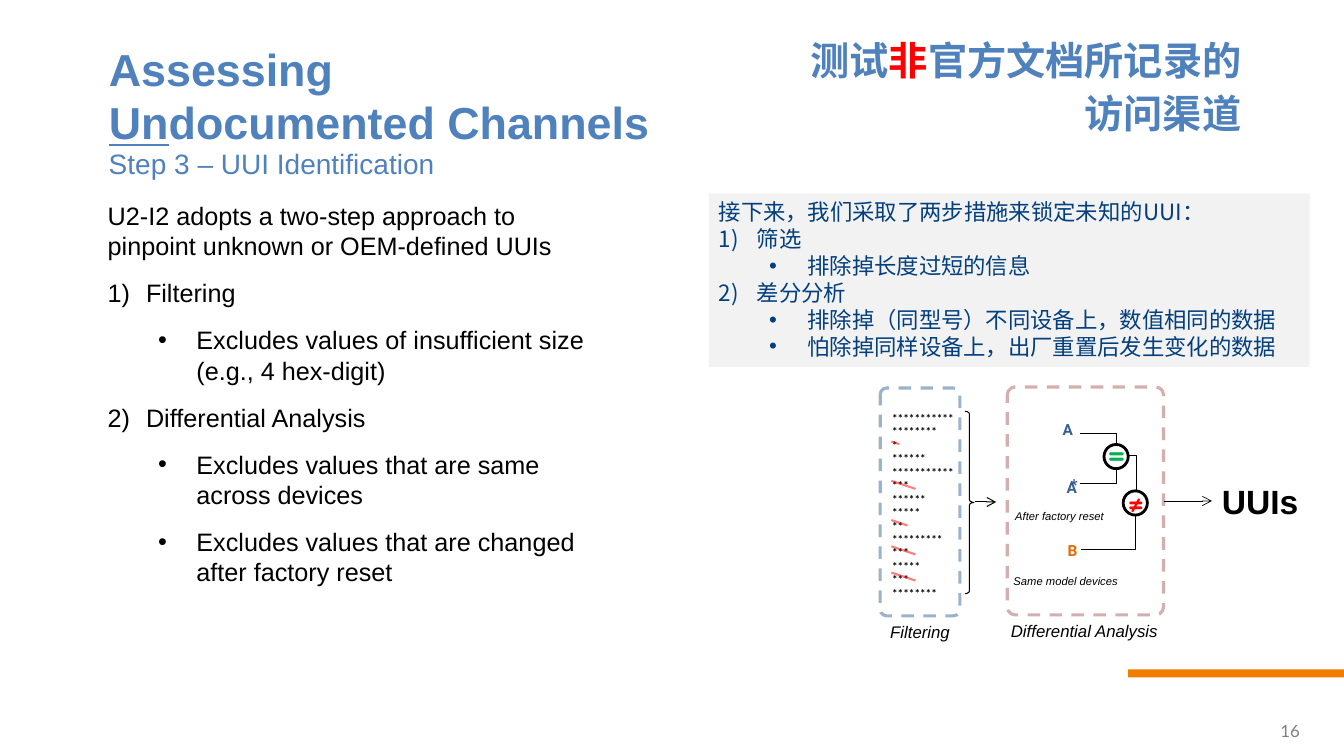
from dataclasses import dataclass

from lxml import etree
from pptx import Presentation
from pptx.dml.color import RGBColor
from pptx.enum.dml import MSO_LINE
from pptx.enum.shapes import MSO_CONNECTOR, MSO_SHAPE
from pptx.enum.text import MSO_ANCHOR, PP_ALIGN
from pptx.oxml.ns import qn
from pptx.util import Inches, Pt

LEFT, MID, RIGHT = PP_ALIGN.LEFT, PP_ALIGN.CENTER, PP_ALIGN.RIGHT
TOP, BOTTOM = MSO_ANCHOR.TOP, MSO_ANCHOR.BOTTOM
LINE, ELBOW = MSO_CONNECTOR.STRAIGHT, MSO_CONNECTOR.ELBOW
RECT, ROUND = MSO_SHAPE.RECTANGLE, MSO_SHAPE.ROUNDED_RECTANGLE
OVAL, BRACE = MSO_SHAPE.OVAL, MSO_SHAPE.RIGHT_BRACE
DASH = MSO_LINE.DASH


@dataclass(frozen=True)
class Theme:
    black: str = "000000"
    white: str = "FFFFFF"
    blue: str = "4F81BD"
    navy: str = "033F7D"
    steel: str = "376092"
    red: str = "FF0000"
    green: str = "00B050"
    wine: str = "953735"
    rust: str = "E46C0A"
    orange: str = "F17D00"
    pale: str = "F2F2F2"
    gray: str = "7F7F7F"
    sans: str = "Arial"
    han: str = "Noto Sans CJK SC"
    sign: str = "Quicksand"
    mark: str = "Roboto"
    head: int = 32
    title: int = 28
    big: int = 24
    sub: int = 20
    body: int = 18
    note: int = 16
    label: int = 12
    letter: int = 11
    tiny: int = 8
    lead: float = 1.2


T = Theme()


# Basic parts
def style(font, size, color, face=T.sans, bold=False, slant=False):
    font.size, font.bold, font.italic = Pt(size), bold, slant
    font.color.rgb = RGBColor.from_string(color)
    font.name = face
    if face == T.han:
        etree.SubElement(font._element, qn("a:ea"), typeface=face)


def bullet(para, kind):
    """kind: 'n' for a number, 'b' for a dot, '' for none."""
    if not kind:
        return
    para.level = 1 if kind == "b" else 0
    props = para._p.get_or_add_pPr()
    props.set("marL", str(Inches(0.88 if kind == "b" else 0.38)))
    props.set("indent", str(Inches(-0.38)))
    if kind == "n":
        etree.SubElement(props, qn("a:buAutoNum"), type="arabicParenR")
    else:
        etree.SubElement(props, qn("a:buFont"), typeface=T.sans)
        etree.SubElement(props, qn("a:buChar"), char="•")


def fill_text(frame, items, size, color, align=LEFT, after=0, lead=0, **look):
    """items: (kind, text or list of runs) for each paragraph."""
    for i, (kind, text) in enumerate(items):
        para = frame.paragraphs[0] if i == 0 else frame.add_paragraph()
        para.alignment = align
        para.line_spacing = Pt(lead or size * T.lead)
        para.space_before, para.space_after = Pt(0), Pt(after)
        bullet(para, kind)
        for part in [text] if isinstance(text, str) else text:
            para.add_run().text = part
        style(para.font, size, color, **look)


def text(slide, box, words, size, color, wrap=True, **look):
    shape = slide.shapes.add_textbox(*map(Inches, box))
    shape.text_frame.word_wrap = wrap
    items = [("", words)] if isinstance(words, str) else words
    fill_text(shape.text_frame, items, size, color, **look)
    return shape


def fade(line, alpha):
    color = line._ln.find(".//" + qn("a:srgbClr"))
    etree.SubElement(color, qn("a:alpha"), val=str(alpha * 1000))


def shape(slide, kind, box, fill=None, line=None, width=1):
    item = slide.shapes.add_shape(kind, *map(Inches, box))
    item.shadow.inherit = False
    if fill:
        item.fill.solid()
        item.fill.fore_color.rgb = RGBColor.from_string(fill)
    else:
        item.fill.background()
    if line:
        item.line.color.rgb = RGBColor.from_string(line)
        item.line.width = Pt(width)
    else:
        item.line.fill.background()
    return item


def link(slide, start, end, color=T.black, width=0.75, kind=LINE, arrow=False):
    item = slide.shapes.add_connector(kind, *map(Inches, (*start, *end)))
    item.line.color.rgb = RGBColor.from_string(color)
    item.line.width = Pt(width)
    if arrow:
        etree.SubElement(item.line._ln, qn("a:tailEnd"), type="arrow")
    etree.SubElement(item._element.spPr, qn("a:effectLst"))
    if kind == ELBOW:  # run level first, then turn at the far end
        guides = item._element.spPr.find(".//" + qn("a:avLst"))
        etree.SubElement(guides, qn("a:gd"), name="adj1", fmla="val 100000")
    return item


def frame(slide, box, color, bend):
    item = shape(slide, ROUND, box, line=color, width=2.25)
    item.adjustments[0] = bend
    item.line.dash_style = DASH
    fade(item.line, 40)
    return item


# Regions
def header(slide, x, y):
    title = slide.shapes.title
    title.left, title.top, title.width, title.height = map(Inches, (x, y, 6.5, 1.18))
    area = title.text_frame
    area.vertical_anchor, area.word_wrap = TOP, True
    fill_text(area, [("", "Assessing"), ("", ["Un", "documented Channels"])],
              T.head, T.blue, bold=True)
    area.paragraphs[1].runs[0].font.underline = True
    text(slide, (x, y + 1.04, 7.51, 0.44), "Step 3 – UUI Identification", T.sub, T.blue)


def han_title(slide, box):
    runs = ["测试", "非", "官方文档所记录的访问渠道"]
    item = text(slide, box, [("", runs)], T.title, T.blue, align=RIGHT,
                lead=37.8, face=T.han, bold=True)
    item.text_frame.vertical_anchor = BOTTOM
    key = item.text_frame.paragraphs[0].runs[1]
    key.font.color.rgb = RGBColor.from_string(T.red)


def steps(slide, box):
    text(slide, box, [
        ("", "U2-I2 adopts a two-step approach to pinpoint unknown or OEM-defined UUIs"),
        ("n", "Filtering"),
        ("b", "Excludes values of insufficient size (e.g., 4 hex-digit)"),
        ("n", "Differential Analysis"),
        ("b", "Excludes values that are same across devices"),
        ("b", "Excludes values that are changed after factory reset"),
    ], T.body, T.black, after=12)


def han_steps(slide, box):
    area = shape(slide, RECT, box, fill=T.pale).text_frame
    area.word_wrap, area.vertical_anchor = True, TOP
    fill_text(area, [
        ("", "接下来，我们采取了两步措施来锁定未知的UUI："),
        ("n", "筛选"),
        ("b", "排除掉长度过短的信息"),
        ("n", "差分分析"),
        ("b", "排除掉（同型号）不同设备上，数值相同的数据"),
        ("b", "怕除掉同样设备上，出厂重置后发生变化的数据"),
    ], T.note, T.navy, face=T.han)


def filter_part(slide, x, y, w, h):
    counts = [11, 8, 1, 6, 11, 3, 6, 5, 2, 9, 3, 5, 3, 8]
    text(slide, (x + 0.02, y + 0.18, 0.91, 1.99), [("", "*" * n) for n in counts],
         T.tiny, T.black, face="Calibri", bold=True)
    # Short values are struck out
    for i, n in enumerate(counts):
        if n < 4:
            left, top, wide = x + 0.11, y + 0.27 + 0.13 * i, 0.08 * n
            strike = link(slide, (left, top), (left + wide, top + wide / 3), T.red, 1.5)
            fade(strike.line, 49)
    brace = shape(slide, BRACE, (x + 0.84, y + 0.23, 0.09, 1.81), line=T.black, width=0.75)
    brace.adjustments[0], brace.adjustments[1] = 0.3, 0.5
    link(slide, (x + 0.94, y + 1.13), (x + 1.15, y + 1.13), arrow=True)
    frame(slide, (x, y, w, h), T.navy, 0.08)
    text(slide, (x, y + h + 0.01, w, 0.3), "Filtering", T.label, T.black,
         align=MID, slant=True, wrap=False)


def diff_part(slide, x, y, w, h):
    # Wires: start and end offsets
    for ax, ay, bx, by in [(0.73, 1.61, 1.27, 1.18), (1.09, 0.68, 1.28, 1.06),
                           (0.72, 0.96, 1.08, 0.61), (0.72, 0.46, 1.08, 0.76)]:
        link(slide, (x + ax, y + ay), (x + bx, y + by), kind=ELBOW)
    # Tests
    for sign, size, color, dx, dy, rise in [("≠", T.body, T.red, 1.15, 1.03, 0.08),
                                            ("=", T.sub, T.green, 0.96, 0.57, 0.12)]:
        shape(slide, OVAL, (x + dx, y + dy, 0.24, 0.24), T.white, T.black, 2)
        text(slide, (x + dx - 0.15, y + dy - rise, 0.55, 0.42), sign, size, color,
             align=MID, face=T.sign, bold=True)
    # Devices
    for name, color, dx, dy in [("A", T.steel, 0.45, 0.28), ("A", T.steel, 0.49, 0.85),
                                ("*", T.steel, 0.53, 0.82), ("B", T.rust, 0.5, 1.48)]:
        text(slide, (x + dx, y + dy, 0.24, 0.29), name, T.letter, color, wrap=False,
             align=MID, face=T.mark, bold=True)
    for note, dx, dy in [("After factory reset", -0.18, 1.16),
                         ("Same model devices", -0.12, 1.81)]:
        text(slide, (x + dx, y + dy, 1.4, 0.24), note, T.tiny, T.black,
             align=MID, slant=True)
    box = frame(slide, (x, y, w, h), T.wine, 0.05)
    text(slide, (x - 0.1, y + h + 0.01, 1.73, 0.3), "Differential Analysis",
         T.label, T.black, align=MID, slant=True)
    # Result
    hub = y + h / 2
    goal = text(slide, (x + 2.03, hub - 0.25, 0.97, 0.5), "UUIs", T.big, T.black,
                wrap=False, bold=True)
    arrow = link(slide, (x + w, hub), (x + 2.03, hub), width=0.5, arrow=True)
    arrow.begin_connect(box, 3)
    arrow.end_connect(goal, 1)


def footer(slide, x, y):
    shape(slide, RECT, (x, y, 2.14, 0.08), fill=T.orange)
    text(slide, (x - 1.31, y + 0.46, 3.11, 0.4), "16", T.label, T.gray,
         align=RIGHT, face="Lato")


def main():
    deck = Presentation()
    deck.slide_width, deck.slide_height = Inches(13.33), Inches(7.5)
    slide = deck.slides.add_slide(deck.slide_layouts[5])
    footer(slide, 11.19, 6.64)
    steps(slide, (0.97, 1.94, 4.98, 3.97))
    diff_part(slide, 9.99, 3.84, 1.55, 2.26)
    filter_part(slide, 8.73, 3.85, 0.79, 2.26)
    header(slide, 0.98, 0.36)
    han_title(slide, (7.75, 0.48, 4.66, 0.92))
    han_steps(slide, (7.03, 1.92, 5.96, 1.72))
    deck.save("out.pptx")


if __name__ == "__main__":
    main()
